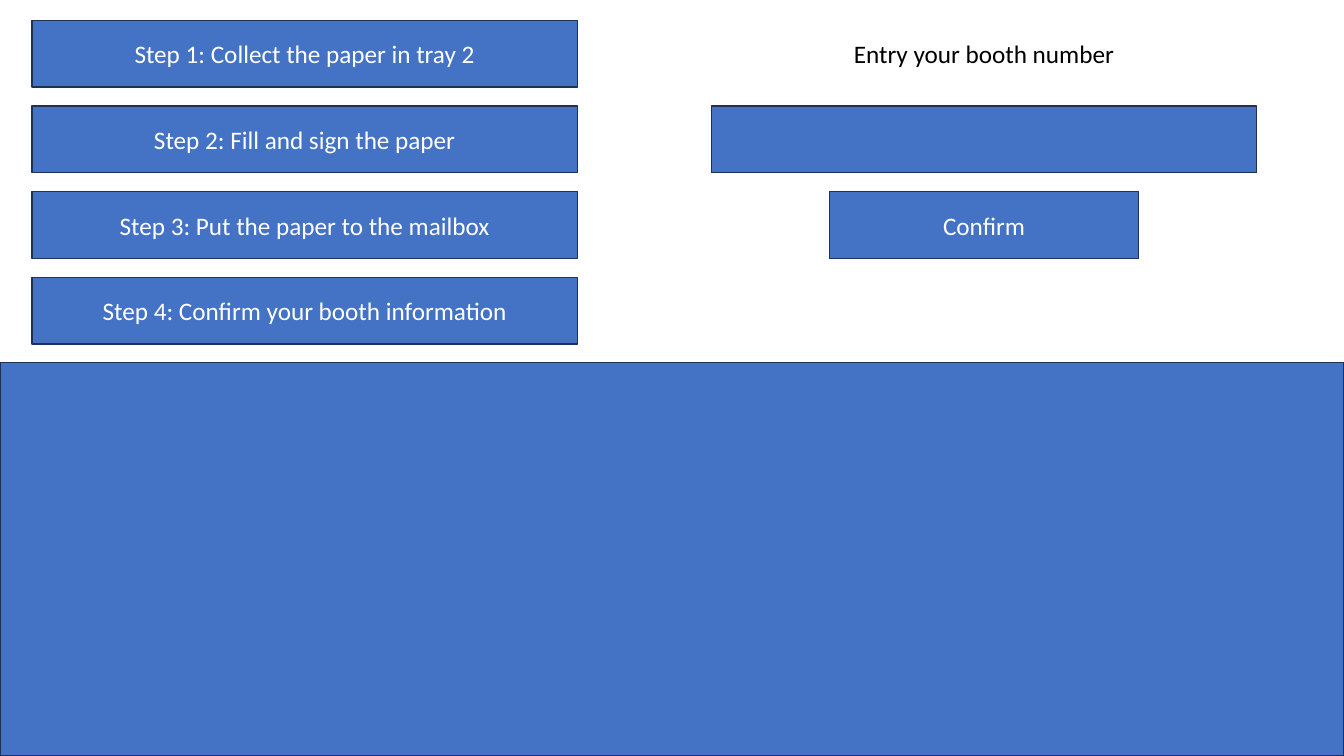
from pptx import Presentation
from pptx.dml.color import RGBColor
from pptx.enum.shapes import MSO_SHAPE
from pptx.enum.text import MSO_ANCHOR, PP_ALIGN
from pptx.util import Cm, Pt

COLORS = {"fill": "4472C4", "line": "1E3256", "light": "FFFFFF", "dark": "000000"}
FONT = {"name": "Calibri", "size": Pt(18)}
FRAME = {"word_wrap": True, "vertical_anchor": MSO_ANCHOR.MIDDLE}

PAGE_WIDTH, PAGE_HEIGHT = 33.87, 19.05
ROW_HEIGHT, ROW_PITCH = 1.68, 2.16
CONFIRM_WIDTH = 7.8
STEPS = [
    "Collect the paper in tray 2",
    "Fill and sign the paper",
    "Put the paper to the mailbox",
    "Confirm your booth information",
]


def color(name):
    return RGBColor.from_string(COLORS[name])


def write_text(shape, text, color_name):
    frame = shape.text_frame
    for key, value in FRAME.items():
        setattr(frame, key, value)
    para = frame.paragraphs[0]
    para.alignment = PP_ALIGN.CENTER
    span = para.add_run()
    span.text = text
    for key, value in FONT.items():
        setattr(span.font, key, value)
    span.font.color.rgb = color(color_name)


def add_box(page, left, top, width, height, text=""):
    box = page.shapes.add_shape(
        MSO_SHAPE.RECTANGLE, Cm(left), Cm(top), Cm(width), Cm(height))
    box.shadow.inherit = False
    box.fill.solid()
    box.fill.fore_color.rgb = color("fill")
    box.line.color.rgb = color("line")
    box.line.width = Pt(1)
    if text:
        write_text(box, text, "light")


def add_steps(page, left, top, width):
    for index, step in enumerate(STEPS):
        add_box(page, left, top + index * ROW_PITCH, width, ROW_HEIGHT,
                f"Step {index + 1}: {step}")


def add_booth_form(page, left, top, width):
    # Entry field
    add_box(page, left, top + ROW_PITCH, width, ROW_HEIGHT)
    # Prompt above the field
    prompt = page.shapes.add_textbox(Cm(left), Cm(top), Cm(width), Cm(ROW_HEIGHT))
    write_text(prompt, "Entry your booth number", "dark")
    # Button centred below the field
    add_box(page, left + (width - CONFIRM_WIDTH) / 2, top + 2 * ROW_PITCH,
            CONFIRM_WIDTH, ROW_HEIGHT, "Confirm")


def add_lower_panel(page, top):
    add_box(page, 0, top, PAGE_WIDTH, PAGE_HEIGHT - top)


def main():
    deck = Presentation()
    deck.slide_width, deck.slide_height = Cm(PAGE_WIDTH), Cm(PAGE_HEIGHT)
    page = deck.slides.add_slide(deck.slide_layouts[6])
    add_steps(page, 0.81, 0.51, 13.74)
    add_booth_form(page, 17.93, 0.51, 13.74)
    add_lower_panel(page, 9.14)
    deck.save("out.pptx")


if __name__ == "__main__":
    main()
